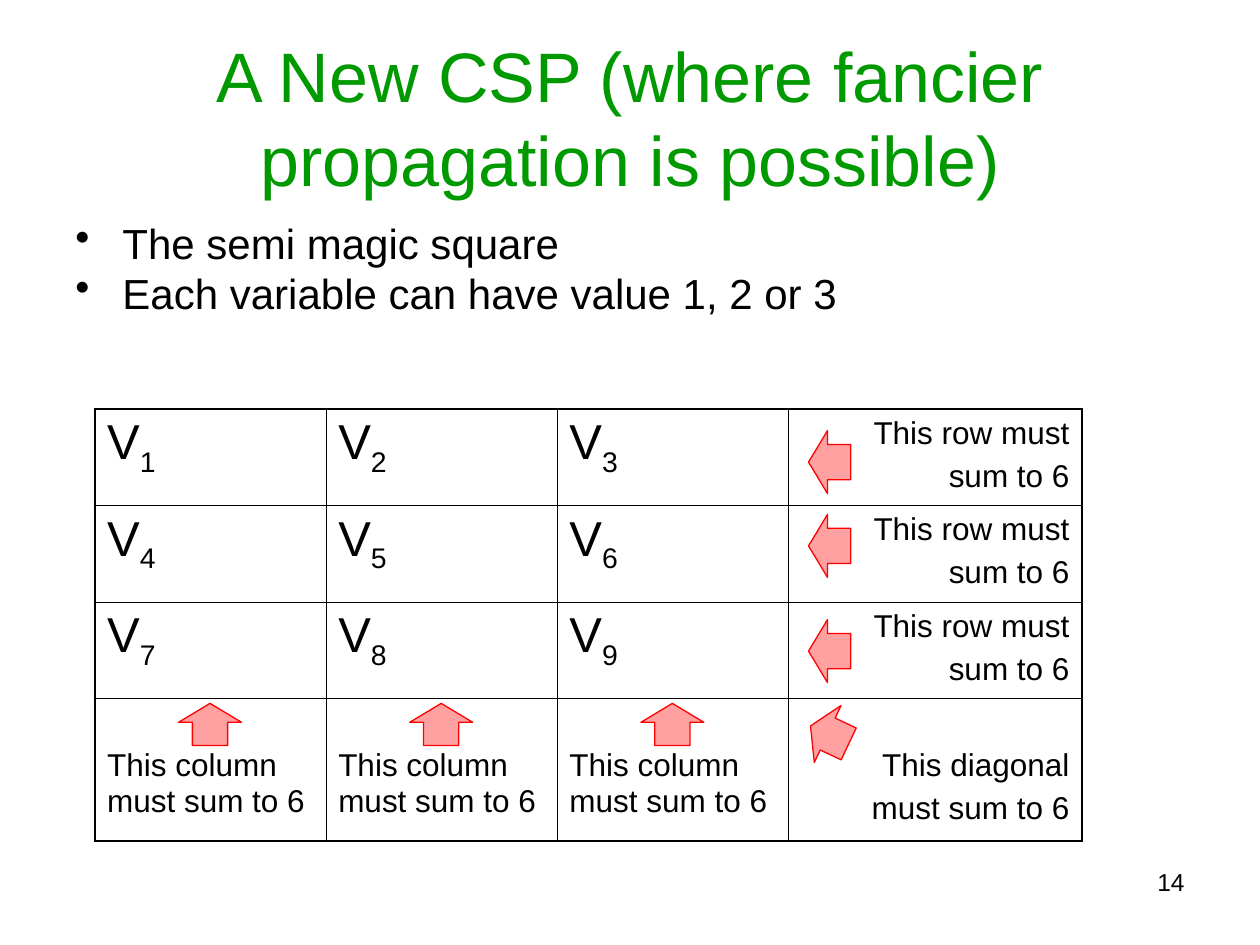
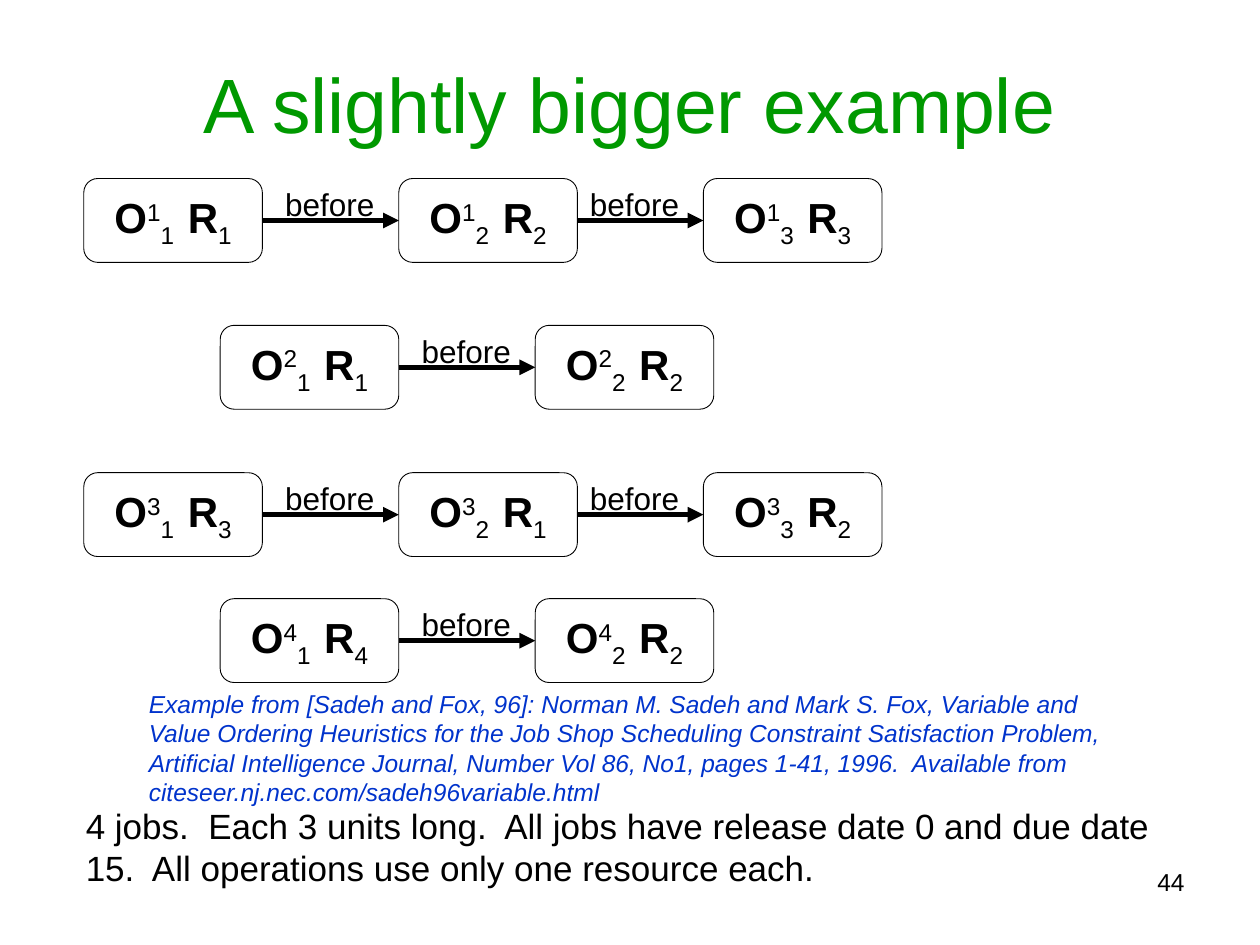
import pptx
import pptx.dml.color
import pptx.enum.shapes
import pptx.enum.text
import pptx.oxml
import pptx.oxml.ns
import pptx.util

Cm, Pt = pptx.util.Cm, pptx.util.Pt
RGB = pptx.dml.color.RGBColor
Kind = pptx.enum.shapes.MSO_SHAPE
Align = pptx.enum.text.PP_ALIGN
Anchor = pptx.enum.text.MSO_ANCHOR

GREEN = RGB(0x00, 0x99, 0x00)
BLACK = RGB(0x00, 0x00, 0x00)
BLUE = RGB(0x00, 0x33, 0xCC)
RED = RGB(0xFF, 0x00, 0x00)
PINK = RGB(0xFF, 0xA1, 0xA1)
FONT = "Arial"
SUB, SUPER = -25, 30

# Content of the magic square slide
SQUARE = "A New CSP (where fancier propagation is possible)"
POINTS = ["The semi magic square", "Each variable can have value 1, 2 or 3"]
ROW = ["This row must", "sum to 6"]
COLUMN = ["This column must sum to 6"]
DIAG = ["This diagonal", "must sum to 6"]
SIDE = 3

# Content of the job slide: resources used by each job, top, indent (cm)
JOBS = [
    ([1, 2, 3], 3.6, 0),
    ([1, 2], 6.56, 2.75),
    ([3, 1, 2], 9.53, 0),
    ([4, 2], 12.07, 2.75),
]
BIGGER = "A slightly bigger example"
SOURCE = (
    "Example from [Sadeh and Fox, 96]: Norman M. Sadeh and Mark S. Fox, "
    "Variable and Value Ordering Heuristics for the Job Shop Scheduling "
    "Constraint Satisfaction Problem, Artificial Intelligence Journal, "
    "Number Vol 86, No1, pages 1-41, 1996.  Available from "
    "citeseer.nj.nec.com/sadeh96variable.html"
)
FACTS = (
    "4 jobs.  Each 3 units long.  All jobs have release date 0 and due date 15."
    "  All operations use only one resource each."
)


def add_xml(parent, tag, **attrs):
    node = pptx.oxml.parse_xml(f'<a:{tag} {pptx.oxml.ns.nsdecls("a")}/>')
    for key, value in attrs.items():
        node.set(key, str(value))
    parent.append(node)
    return node


def write(frame, paras, size=18, color=BLACK, align=Align.LEFT, italic=False,
          gap=0, lines=None, bullet=False):
    """Fill a frame; a paragraph is a string or (text, bold, baseline) runs."""
    for i, runs in enumerate(paras):
        para = frame.paragraphs[0] if i == 0 else frame.add_paragraph()
        para.alignment = align
        if i:
            para.space_before = Pt(gap)
        if lines:
            para.line_spacing = lines
        if bullet:
            props = para._p.get_or_add_pPr()
            props.set("marL", str(Cm(0.95)))
            props.set("indent", str(-Cm(0.95)))
            add_xml(props, "buChar", char="•")
        if isinstance(runs, str):
            runs = [(runs, False, 0)]
        for words, bold, base in runs:
            run = para.add_run()
            run.text = words
            font = run.font
            font.name, font.size = FONT, Pt(size)
            font.bold, font.italic = bold, italic
            font.color.rgb = color
            if base:
                run._r.get_or_add_rPr().set("baseline", str(base * 1000))


def add_text(slide, paras, x, y, w, h, anchor=Anchor.TOP, **form):
    frame = slide.shapes.add_textbox(Cm(x), Cm(y), Cm(w), Cm(h)).text_frame
    frame.word_wrap = True
    frame.vertical_anchor = anchor
    write(frame, paras, **form)


def add_shape(slide, kind, x, y, w, h, line, width, fill=None):
    shape = slide.shapes.add_shape(kind, Cm(x), Cm(y), Cm(w), Cm(h))
    shape.shadow.inherit = False
    if fill is None:
        shape.fill.background()
    else:
        shape.fill.solid()
        shape.fill.fore_color.rgb = fill
    shape.line.color.rgb = line
    shape.line.width = Pt(width)
    return shape


def new_slide(deck, title, size, high, number):
    slide = deck.slides.add_slide(deck.slide_layouts[6])
    add_text(slide, [title], 1.27, 0.76, 22.86, high, anchor=Anchor.MIDDLE,
             size=size, color=GREEN, align=Align.CENTER)
    add_text(slide, [str(number)], 12.27, 17.35, 11.86, 1.32, size=14,
             align=Align.RIGHT)
    return slide


def add_border(cell, row, col):
    props = cell._tc.get_or_add_tcPr()
    outer = {"lnL": col == 0, "lnR": col == SIDE,
             "lnT": row == 0, "lnB": row == SIDE}
    for tag, edge in outer.items():
        line = add_xml(props, tag, w=int(Pt(1.08 if edge else 0.45)))
        add_xml(add_xml(line, "solidFill"), "srgbClr", val=BLACK)


def add_grid(slide):
    grid = slide.shapes.add_table(SIDE + 1, SIDE + 1, Cm(1.91), Cm(8.25),
                                  Cm(19.9), Cm(8.69)).table
    grid.first_row = grid.horz_banding = False
    for i in range(SIDE + 1):
        grid.columns[i].width = Cm(4.66 if i < SIDE else 5.92)
        grid.rows[i].height = Cm(1.94 if i < SIDE else 2.87)
    for row in range(SIDE + 1):
        for col in range(SIDE + 1):
            cell = grid.cell(row, col)
            cell.margin_left = cell.margin_right = Cm(0.25)
            cell.margin_top = Cm(0.13 if row < SIDE else 1)
            cell.margin_bottom = Cm(0.13)
            add_border(cell, row, col)
            cell.fill.background()
            frame = cell.text_frame
            if row < SIDE and col < SIDE:
                index = str(row * SIDE + col + 1)
                write(frame, [[("V", False, 0), (index, False, SUB)]], size=28)
            elif row < SIDE:
                write(frame, ROW, align=Align.RIGHT, gap=4.5)
            elif col < SIDE:
                write(frame, COLUMN)
            else:
                write(frame, DIAG, align=Align.RIGHT, gap=4.5)


def square_slide(deck):
    slide = new_slide(deck, SQUARE, 40, 3.18, 14)
    add_text(slide, POINTS, 1.27, 4.45, 22.86, 2.11, size=24, gap=6,
             lines=0.8, bullet=True)
    add_grid(slide)
    # Arrows: one per column, one per row, one for the diagonal
    spots = [(3.6 + 4.66 * i, 14.18, 0) for i in range(SIDE)]
    spots += [(16.09, y, 270) for y in (8.89, 10.58, 12.7)]
    spots.append((16.09, 14.39, 295.2))
    for x, y, turn in spots:
        arrow = add_shape(slide, Kind.UP_ARROW, x, y, 1.27, 0.85, RED, 0.75, PINK)
        arrow.adjustments[0], arrow.adjustments[1] = 0.56, 0.45
        arrow.rotation = turn


def link(slide, first, second):
    line = slide.shapes.add_connector(
        pptx.enum.shapes.MSO_CONNECTOR.STRAIGHT, 0, 0, 0, 0)
    line.begin_connect(first, 3)
    line.end_connect(second, 1)
    line.line.color.rgb = BLACK
    line.line.width = Pt(3)
    props = line._element.spPr
    add_xml(props.get_or_add_ln(), "tailEnd", type="triangle")
    add_xml(props, "effectLst")


def job_slide(deck):
    slide = new_slide(deck, BIGGER, 44, 2.62, 44)
    add_text(slide, [FACTS], 1.48, 16.09, 22.86, 1.98, size=20)
    # Chains of operations
    for job, (chain, top, shift) in enumerate(JOBS, 1):
        last = None
        for step, (need, left) in enumerate(zip(chain, (1.69, 8.04, 14.18)), 1):
            x = left + shift
            if last:
                add_text(slide, ["before"], x - 2.54, top, 2.33, 1.02)
            box = add_shape(slide, Kind.ROUNDED_RECTANGLE, x, top, 3.6, 1.69,
                            BLACK, 0.5)
            box.text_frame.word_wrap = False
            box.text_frame.vertical_anchor = Anchor.MIDDLE
            label = [("O", True, 0), (str(job), False, SUPER),
                     (f"{step}  ", False, SUB),
                     ("R", True, 0), (str(need), False, SUB)]
            write(box.text_frame, [label], size=24, align=Align.CENTER)
            if last:
                link(slide, last, box)
            last = box
    add_text(slide, [SOURCE], 2.75, 13.76, 20.53, 2.64, size=14, color=BLUE,
             italic=True)


def main():
    deck = pptx.Presentation()
    deck.slide_width, deck.slide_height = Cm(25.4), Cm(19.05)
    square_slide(deck)
    job_slide(deck)
    deck.save("out.pptx")


if __name__ == "__main__":
    main()
